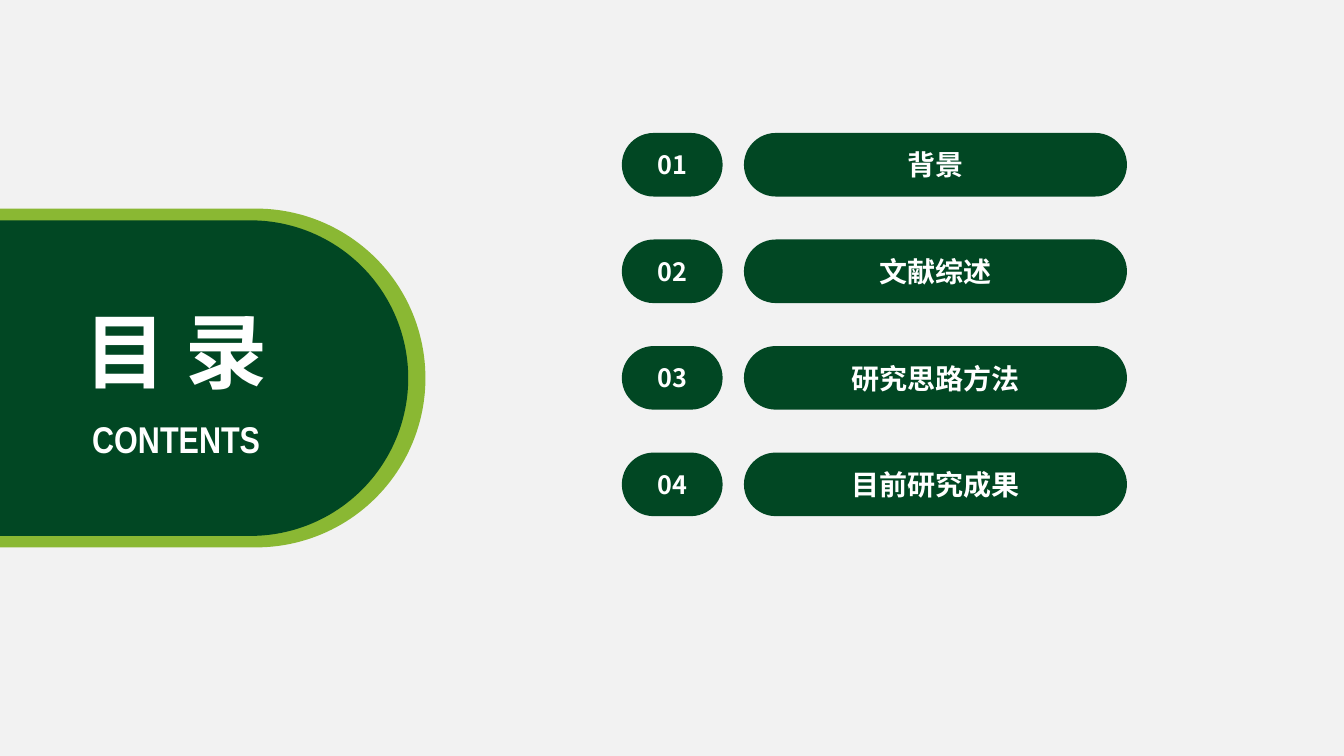
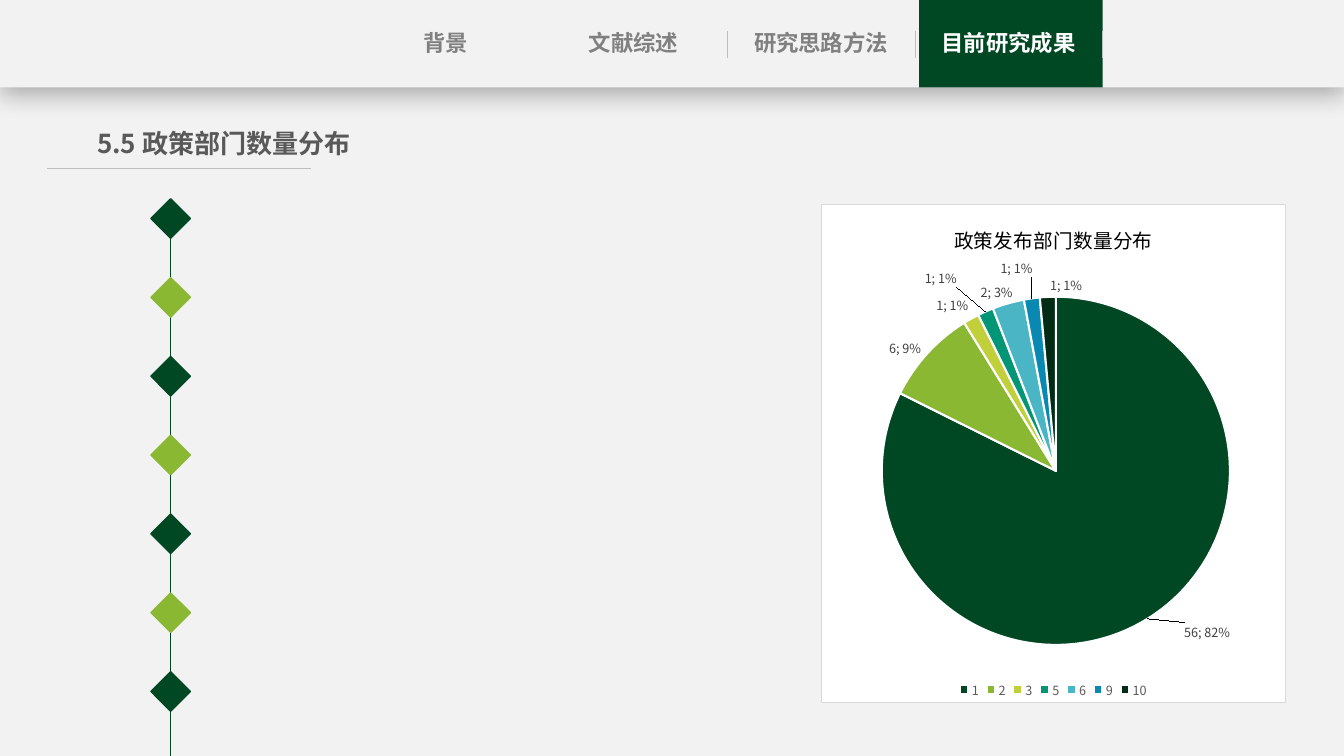
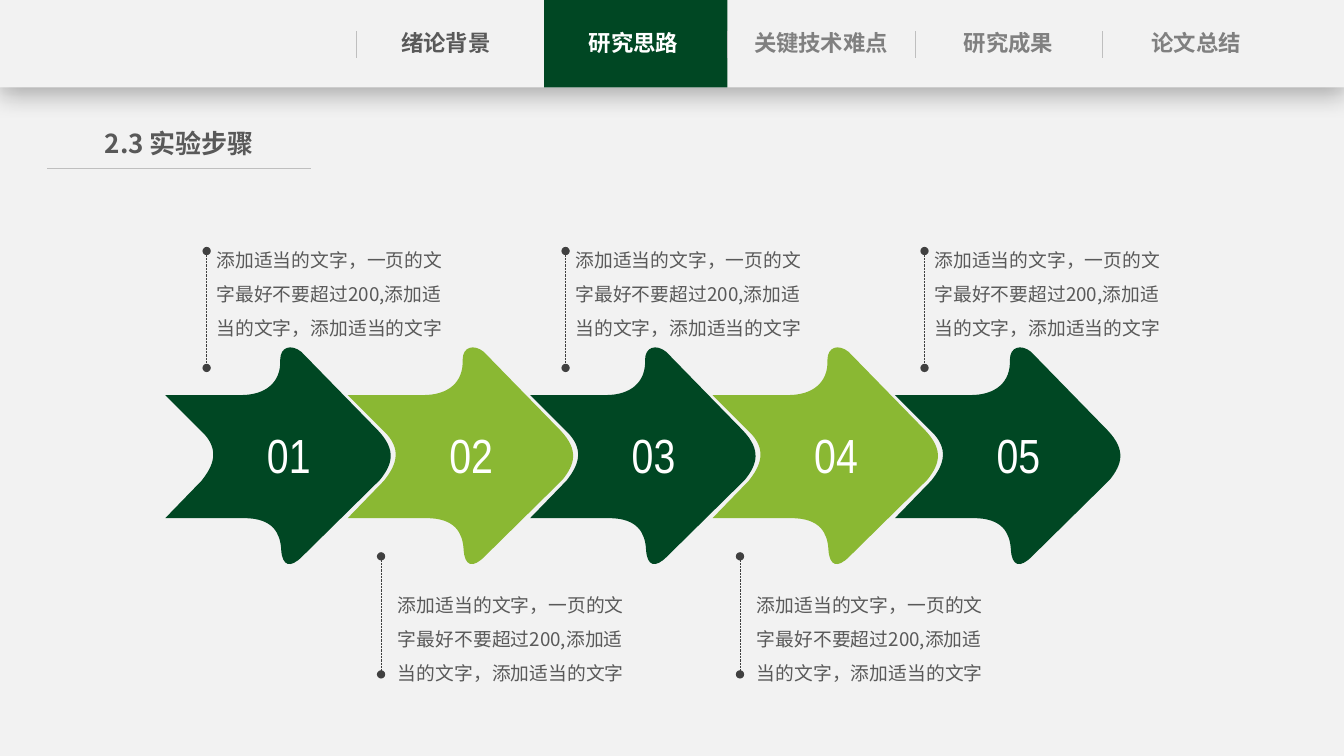
"""Build a contents slide, a pie chart slide and a process slide in one green theme."""
from copy import deepcopy
from dataclasses import dataclass

from lxml.etree import SubElement
from pptx import Presentation
from pptx.chart.data import CategoryChartData
from pptx.dml.color import RGBColor
from pptx.enum.chart import XL_CHART_TYPE as CHART, XL_LABEL_POSITION as LABEL, XL_LEGEND_POSITION as LEGEND
from pptx.enum.dml import MSO_LINE
from pptx.enum.shapes import MSO_CONNECTOR as CONN, MSO_SHAPE as SHAPE
from pptx.enum.text import MSO_ANCHOR as ANCHOR, PP_ALIGN as ALIGN
from pptx.oxml import parse_xml
from pptx.oxml.ns import nsdecls, qn
from pptx.util import Pt


@dataclass(frozen=True)
class Theme:
    """Colours, fonts and type sizes."""
    width: float = 960
    height: float = 540
    paper: str = "F2F2F2"
    green: str = "004723"
    pill: str = "014723"
    lime: str = "8AB833"
    white: str = "FFFFFF"
    black: str = "000000"
    ink: str = "595959"
    muted: str = "808080"
    dark: str = "404040"
    rule: str = "BFBFBF"
    frame: str = "D9D9D9"
    cjk: str = "Noto Sans CJK SC"
    narrow: str = "Arial Narrow"
    hero: float = 58.6
    number: float = 34.2
    subhero: float = 26.6
    item: float = 20
    heading: float = 18.6
    index: float = 18
    tab: float = 16
    chart_title: float = 14
    body: float = 13.4
    chart: float = 10
    label: float = 9


T = Theme()

CONTENTS = ["背景", "文献综述", "研究思路方法", "目前研究成果"]
HERO = [
    ("CONTENTS", (44.6, 293.8, 162.7, 39.6), T.subhero, T.narrow),
    ("目 录", (50.4, 211, 150.5, 78.5), T.hero, T.cjk),
]
HERO_PILLS = [((-141.1, 149, 445, 242), T.lime), ((-122.4, 157.4, 414, 225.4), T.pill)]

RESULT_TABS = [(name, T.muted) for name in CONTENTS]
STEP_TABS = [("绪论背景", T.ink), ("研究思路", T.muted), ("关键技术难点", T.muted),
             ("研究成果", T.muted), ("论文总结", T.muted)]
DIVIDERS = [519.8, 653.8, 787.7]
FIRST_DIVIDER = 254.5

PIE_TITLE = "政策发布部门数量分布"
PIE = [
    ("1", 56, T.green, (24, -1)),
    ("2", 6, T.lime, (-1.4, 5)),
    ("3", 1, "C0CF3A", None),
    ("5", 1, "029676", (-19, -13.6)),
    ("6", 2, "4AB5C4", (4.3, 2.5)),
    ("9", 1, "0989B1", (1, -11)),
    ("10", 1, "002B15", (13.3, 1.8)),
]
PIE_BOX = (586.4, 145.7, 332.3, 356.4)
PIE_AREA = {"x": 0.13, "y": 0.18, "w": 0.75, "h": 0.71}

NOTE = "添加适当的文字，一页的文字最好不要超过200,添加适当的文字，添加适当的文字"
NOTE_ROWS = [
    {"count": 3, "x": 147.6, "ends": (262.8, 179.3), "text": (147.6, 166.3)},
    {"count": 2, "x": 272.2, "ends": (481.7, 397.4), "text": (277.2, 412.6)},
]
ARROW = [
    [(0, 33.8)], [(54, 33.8)],
    [(72, 33.8), (82.8, 24.5), (82.1, 8.6)],
    [(82.1, -0.7), (90, -2.9), (97.2, 2.9)],
    [(151.9, 59)],
    [(165.6, 73.4), (162, 83.5), (153.4, 94.3)],
    [(97.9, 149)],
    [(89.3, 157.7), (83.5, 156.2), (82.8, 144)],
    [(82.1, 132.5), (77, 121.7), (56.2, 121.7)],
    [(0, 121.7)], [(25.9, 95)],
    [(33.8, 85), (38.9, 74.2), (28.1, 61.9)],
    [(0, 33.8)],
]


def rgb(color):
    return RGBColor.from_string(color)


def set_font(font, size, color, name=T.cjk, bold=False):
    font.size, font.bold, font.name = Pt(size), bold, name
    font.color.rgb = rgb(color)
    font._rPr.find(qn("a:latin")).addnext(
        parse_xml(f'<a:ea {nsdecls("a")} typeface="{name}"/>'))


def write(sp, text, size, color, name=T.cjk, bold=True, align=ALIGN.CENTER, wrap=True, spacing=None):
    tf = sp.text_frame
    tf.word_wrap = wrap
    p = tf.paragraphs[0]
    p.alignment = align
    if spacing:
        p.line_spacing = spacing
    r = p.add_run()
    r.text = text
    set_font(r.font, size, color, name, bold)
    return sp


def paint(sp, fill, line=None):
    sp.shadow.inherit = False
    sp.fill.solid()
    sp.fill.fore_color.rgb = rgb(fill)
    if line:
        sp.line.color.rgb, sp.line.width = rgb(line), Pt(1)
    else:
        sp.line.fill.background()
    return sp


def add_shape(s, kind, box, fill, line=None):
    return paint(s.shapes.add_shape(kind, *map(Pt, box)), fill, line)


def add_pill(s, box, fill=T.pill):
    sp = add_shape(s, SHAPE.ROUNDED_RECTANGLE, box, fill)
    sp.adjustments[0] = 0.5
    sp.text_frame.vertical_anchor = ANCHOR.MIDDLE
    return sp


def add_text(s, box, text, size, color, flush=False, **style):
    sp = s.shapes.add_textbox(*map(Pt, box))
    if flush:
        sp.text_frame.margin_left = sp.text_frame.margin_right = 0
    return write(sp, text, size, color, **style)


def add_line(s, x1, y1, x2, y2, color, dotted=False):
    line = s.shapes.add_connector(CONN.STRAIGHT, *map(Pt, (x1, y1, x2, y2)))
    line.line.color.rgb, line.line.width = rgb(color), Pt(0.5)
    if dotted:
        line.line.dash_style = MSO_LINE.ROUND_DOT
        for end in ("a:headEnd", "a:tailEnd"):
            SubElement(line.line._ln, qn(end), type="oval")
    SubElement(line._element.spPr, qn("a:effectLst"))


def add_nav(s, tabs, active, dividers):
    bar = add_shape(s, SHAPE.RECTANGLE, (0, 0, T.width, 62.5), T.paper)
    bar._element.spPr.find(qn("a:effectLst")).append(parse_xml(
        f'<a:outerShdw {nsdecls("a")} blurRad="{Pt(18)}" dist="{Pt(4)}" dir="5400000" rotWithShape="0">'
        f'<a:srgbClr val="{T.black}"><a:alpha val="29000"/></a:srgbClr></a:outerShdw>'))
    for i, (name, color) in enumerate(tabs):
        left = 265.6 + 134 * i
        if i == active:
            add_shape(s, SHAPE.RECTANGLE, (left - 11, 0, 131, 62.5), T.green)
            color = T.white
        add_text(s, (left, 17.2, 105.8, 27), name, T.tab, color, flush=True)
    for x in dividers:
        add_line(s, x, 22.3, x, 41.8, T.rule)


def add_heading(s, text, width):
    add_line(s, 33.8, 120.2, 222.5, 120.2, T.rule)
    add_text(s, (53.6, 87.5, width, 30.2), text, T.heading, T.ink, flush=True)


def label_series(series, **shown):
    labels = series.data_labels
    for key, value in shown.items():
        setattr(labels, key, value)
    labels.position = LABEL.BEST_FIT
    set_font(labels.font, T.label, T.dark)
    return labels._element


def place_labels(dls):
    """Move single pie labels by their offsets in points."""
    dls.find(qn("c:showBubbleSize")).addnext(
        parse_xml(f'<c:separator {nsdecls("c")}>; </c:separator>'))
    shared = [e for e in dls if e.tag != qn("c:showLeaderLines")]
    moved = [(i, row[3]) for i, row in enumerate(PIE) if row[3]]
    for at, (i, (x, y)) in enumerate(moved):
        label = parse_xml(
            f'<c:dLbl {nsdecls("c")}><c:idx val="{i}"/><c:layout><c:manualLayout>'
            f'<c:x val="{x / PIE_BOX[2]:.4f}"/><c:y val="{y / PIE_BOX[3]:.4f}"/>'
            f'</c:manualLayout></c:layout></c:dLbl>')
        label.extend(deepcopy(shared))
        dls.insert(at, label)


def add_share_series(plot, shares):
    """Add the second series, which the pie writer leaves out."""
    first = plot.series[0]._element
    ser = deepcopy(first)
    for tag in ("c:idx", "c:order"):
        ser.find(qn(tag)).set("val", "1")
    for ref in (ser.find(qn("c:tx")), ser.find(qn("c:val"))):
        formula = ref.find(".//" + qn("c:f"))
        formula.text = formula.text.replace("$B$", "$C$")
    ser.find(qn("c:tx")).find(".//" + qn("c:v")).text = "Series 2"
    for v, share in zip(ser.find(qn("c:val")).iter(qn("c:v")), shares):
        v.text = str(share)
    first.addnext(ser)


def add_pie(s):
    values = [row[1] for row in PIE]
    shares = [round(v / sum(values), 4) for v in values]
    data = CategoryChartData()
    data.categories = [row[0] for row in PIE]
    data.add_series("Series 1", values)
    data.add_series("Series 2", shares)
    chart = s.shapes.add_chart(CHART.PIE, *map(Pt, PIE_BOX), data).chart
    set_font(chart.font, T.chart, T.black)

    chart.has_title = True
    r = chart.chart_title.text_frame.paragraphs[0].add_run()
    r.text = PIE_TITLE
    set_font(r.font, T.chart_title, T.black)
    chart.chart_title.include_in_layout = False
    chart.has_legend = True
    chart.legend.position = LEGEND.BOTTOM
    chart.legend.include_in_layout = False
    set_font(chart.legend.font, T.label, T.ink)

    plot = chart.plots[0]
    plot.vary_by_categories = True
    if len(plot.series) == 1:
        add_share_series(plot, shares)
    for series in plot.series:
        for i, row in enumerate(PIE):
            fmt = series.points[i].format
            fmt.fill.solid()
            fmt.fill.fore_color.rgb = rgb(row[2])
            fmt.line.color.rgb, fmt.line.width = rgb(T.white), Pt(1.5)
    place_labels(label_series(plot.series[0], show_value=True, show_percentage=True))
    label_series(plot.series[1], show_value=True)

    space = chart._chartSpace
    area = space.find(".//" + qn("c:plotArea"))
    for old in area.findall(qn("c:layout")):
        area.remove(old)
    sizes = "".join(f'<c:{key} val="{value}"/>' for key, value in PIE_AREA.items())
    area.insert(0, parse_xml(
        f'<c:layout {nsdecls("c")}><c:manualLayout><c:layoutTarget val="inner"/>'
        f'<c:xMode val="edge"/><c:yMode val="edge"/>{sizes}</c:manualLayout></c:layout>'))
    space.find(qn("c:chart")).addnext(parse_xml(
        f'<c:spPr {nsdecls("c", "a")}><a:solidFill><a:srgbClr val="{T.white}"/></a:solidFill>'
        f'<a:ln w="{Pt(0.75)}"><a:solidFill><a:srgbClr val="{T.frame}"/></a:solidFill></a:ln></c:spPr>'))


def sample(segments, steps=12):
    """Points along the segments, from which the bounds are measured."""
    points = []
    for segment in segments:
        if len(segment) == 1:
            points += segment
            continue
        curve = [points[-1], *segment]
        for n in range(1, steps + 1):
            t = n / steps
            weights = ((1 - t) ** 3, 3 * t * (1 - t) ** 2, 3 * t * t * (1 - t), t ** 3)
            points.append(tuple(sum(w * p[k] for w, p in zip(weights, curve)) for k in (0, 1)))
    return points


def add_arrow(s, left, top, fill):
    points = [(Pt(left + x), Pt(top + y)) for x, y in sample(ARROW)]
    builder = s.shapes.build_freeform(*points[0])
    builder.add_line_segments(points[1:], close=True)
    sp = paint(builder.convert_to_shape(), fill)
    outline = sp._element.spPr.find(".//" + qn("a:path"))
    for old in list(outline):
        outline.remove(old)
    for i, segment in enumerate(ARROW):
        tag = "a:cubicBezTo" if len(segment) == 3 else "a:lnTo" if i else "a:moveTo"
        step = SubElement(outline, qn(tag))
        for x, y in segment:
            SubElement(step, qn("a:pt"), x=str(Pt(left + x) - sp.left), y=str(Pt(top + y) - sp.top))
    SubElement(outline, qn("a:close"))


def add_step(s, i):
    left = 118.1 + 130.3 * i
    fill = T.lime if i % 2 else T.green
    group = s.shapes.add_group_shape()
    add_arrow(group, left, 248.4, fill)
    box = add_shape(group, SHAPE.RECTANGLE, (left + 65.5, 300.2, 50.4, 49), fill)
    box.text_frame.vertical_anchor = ANCHOR.TOP
    write(box, f"{i + 1:02}", T.number, T.white,
          name=T.narrow, bold=False, align=ALIGN.LEFT, wrap=False)


def contents_slide(s):
    for box, fill in HERO_PILLS:
        add_pill(s, box, fill)
    for i, name in enumerate(CONTENTS):
        top = 95 + 76.1 * i
        write(add_pill(s, (444.2, top, 72, 45.4)), f"{i + 1:02}", T.index, T.white)
        write(add_pill(s, (531.4, top, 273.6, 45.4)), name, T.item, T.white)
    for text, box, size, name in HERO:
        add_text(s, box, text, size, T.white, name=name, wrap=False)


def result_slide(s):
    add_heading(s, "5.5 政策部门数量分布", 212.4)
    add_line(s, 121.9, 145.4, 121.9, T.height, T.green)
    for i in range(7):
        color = T.lime if i % 2 else T.green
        add_shape(s, SHAPE.DIAMOND, (107.8, 142 + 56.3 * i, 28.2, 28.2), color, color)
    add_pie(s)
    add_nav(s, RESULT_TABS, 3, DIVIDERS)


def step_slide(s):
    add_nav(s, STEP_TABS, 1, [FIRST_DIVIDER, *DIVIDERS])
    add_heading(s, "2.3 实验步骤", 149)
    for i in reversed(range(5)):
        add_step(s, i)
    for row in NOTE_ROWS:
        start, end = row["ends"]
        left, top = row["text"]
        for i in range(row["count"]):
            shift = 256.4 * i
            add_line(s, row["x"] + shift, start, row["x"] + shift, end, T.dark, dotted=True)
            add_text(s, (left + shift, top, 182.2, 80.6), NOTE, T.body, T.ink,
                     bold=False, align=ALIGN.LEFT, spacing=1.5)


def set_master(prs, s):
    """Give the master a white ground and a paper sheet, drawn first on a slide."""
    master = prs.slide_master
    fill = master.background.fill
    fill.solid()
    fill.fore_color.rgb = rgb(T.white)
    sheet = add_shape(s, SHAPE.RECTANGLE, (0, 0, T.width, T.height), T.paper)._element
    sheet.nvSpPr.cNvPr.set("id", "100")
    master.shapes._spTree.insert(2, sheet)


def main():
    prs = Presentation()
    prs.slide_width, prs.slide_height = Pt(T.width), Pt(T.height)
    slides = [prs.slides.add_slide(prs.slide_layouts[6]) for _ in range(3)]
    set_master(prs, slides[0])
    for build, s in zip((contents_slide, result_slide, step_slide), slides):
        build(s)
    prs.save("out.pptx")


if __name__ == "__main__":
    main()
